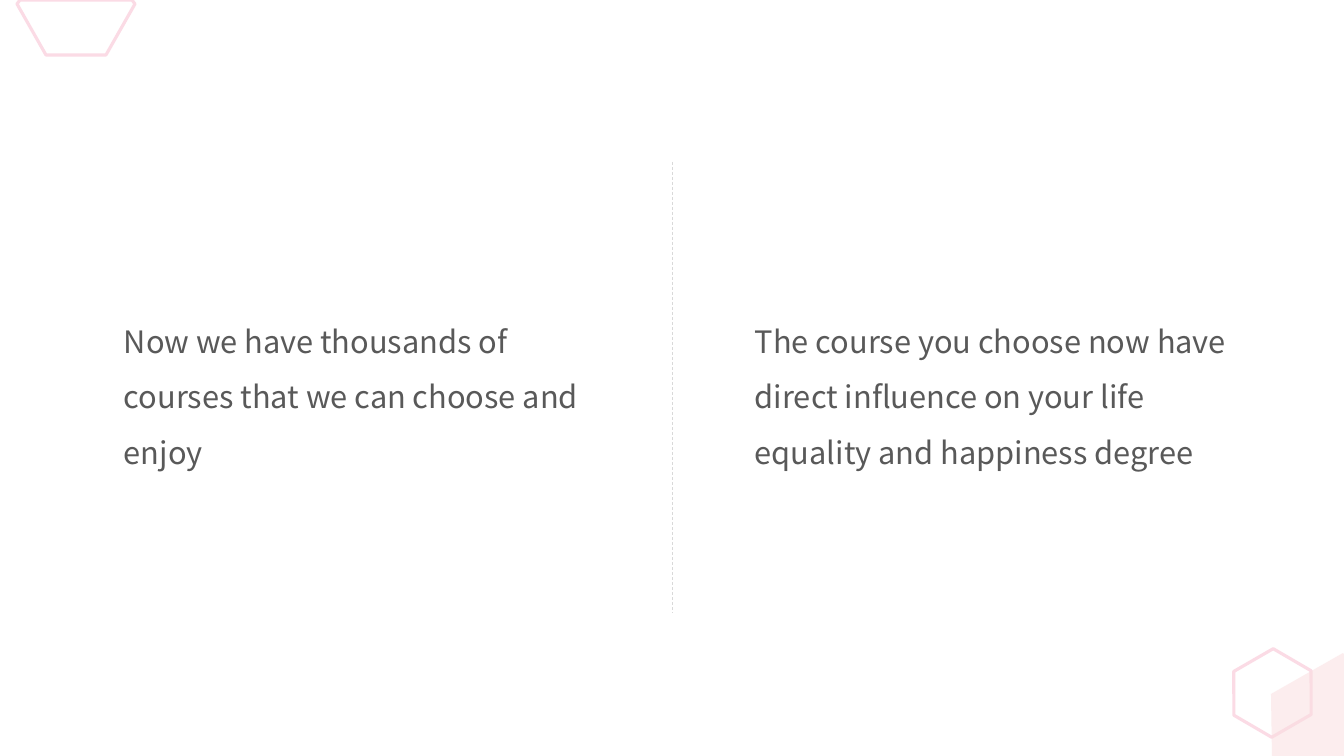
from lxml import etree
from pptx import Presentation
from pptx.dml.color import RGBColor
from pptx.enum.dml import MSO_LINE
from pptx.enum.shapes import MSO_CONNECTOR, MSO_SHAPE
from pptx.enum.text import MSO_ANCHOR
from pptx.oxml.ns import qn
from pptx.util import Pt

HEXAGON = MSO_SHAPE.HEXAGON
STRAIGHT = MSO_CONNECTOR.STRAIGHT
DASH = MSO_LINE.DASH
MIDDLE = MSO_ANCHOR.MIDDLE

FONT = "Noto Sans CJK SC"
PINK, BLUSH, GREY, TEXT = "FBDBE5", "FADEE0", "D9D9D9", "595959"
SCALE = 914400 / 100.8  # EMU in one px
TOP, HEIGHT = 162, 451  # shared by the columns and the divider


def px(n):
    return round(n * SCALE)


def rgb(value):
    return RGBColor.from_string(value)


prs = Presentation()
prs.slide_width, prs.slide_height = px(1344), px(756)
s = prs.slides.add_slide(prs.slide_layouts[6])

# Corner hexagon
hexagon = s.shapes.add_shape(HEXAGON, px(1228), px(655), px(89), px(76))
hexagon.adjustments[0] = 0.286
hexagon.rotation = 330

# Corner block and cut-off hexagon at the top
outlines = [
    [(1343, 653), (1344, 654), (1344, 756), (1272, 756), (1271, 694)],
    [(20, 0), (132, 0), (135, 4), (106, 55), (46, 55), (17, 4)],
]
freeforms = []
for points in outlines:
    builder = s.shapes.build_freeform(*points[0], scale=SCALE)
    builder.add_line_segments(points[1:], close=True)
    freeforms.append(builder.convert_to_shape())
block, top_hexagon = freeforms

block.shadow.inherit = False
block.fill.solid()
block.fill.fore_color.rgb = rgb(BLUSH)
color = block.fill._xPr.find(qn("a:solidFill"))[0]
etree.SubElement(color, qn("a:alpha"), val="53000")
block.line.fill.background()

for sp in (hexagon, top_hexagon):
    sp.shadow.inherit = False
    sp.fill.background()
    sp.line.color.rgb = rgb(PINK)
    sp.line.width = Pt(2.25)

# Dashed divider
divider = s.shapes.add_connector(STRAIGHT, px(672), px(TOP), px(672), px(TOP + HEIGHT))
divider.line.color.rgb = rgb(GREY)
divider.line.width = Pt(0.5)
divider.line.dash_style = DASH
etree.SubElement(divider._element.spPr, qn("a:effectLst"))

# Text columns
columns = [
    (114, "Now we have thousands of courses that we can choose and enjoy"),
    (745, "The course you choose now have direct influence on your life "
          "equality and happiness degree"),
]
for left, text in columns:
    tf = s.shapes.add_textbox(px(left), px(TOP), px(508), px(HEIGHT)).text_frame
    tf.word_wrap = True
    tf.vertical_anchor = MIDDLE
    tf.text = text
    p = tf.paragraphs[0]
    p.line_spacing = 1.5
    p.space_before = Pt(10)
    r = p.runs[0]
    r.font.name = FONT
    r.font.size = Pt(22)
    r.font.color.rgb = rgb(TEXT)

prs.save("out.pptx")
